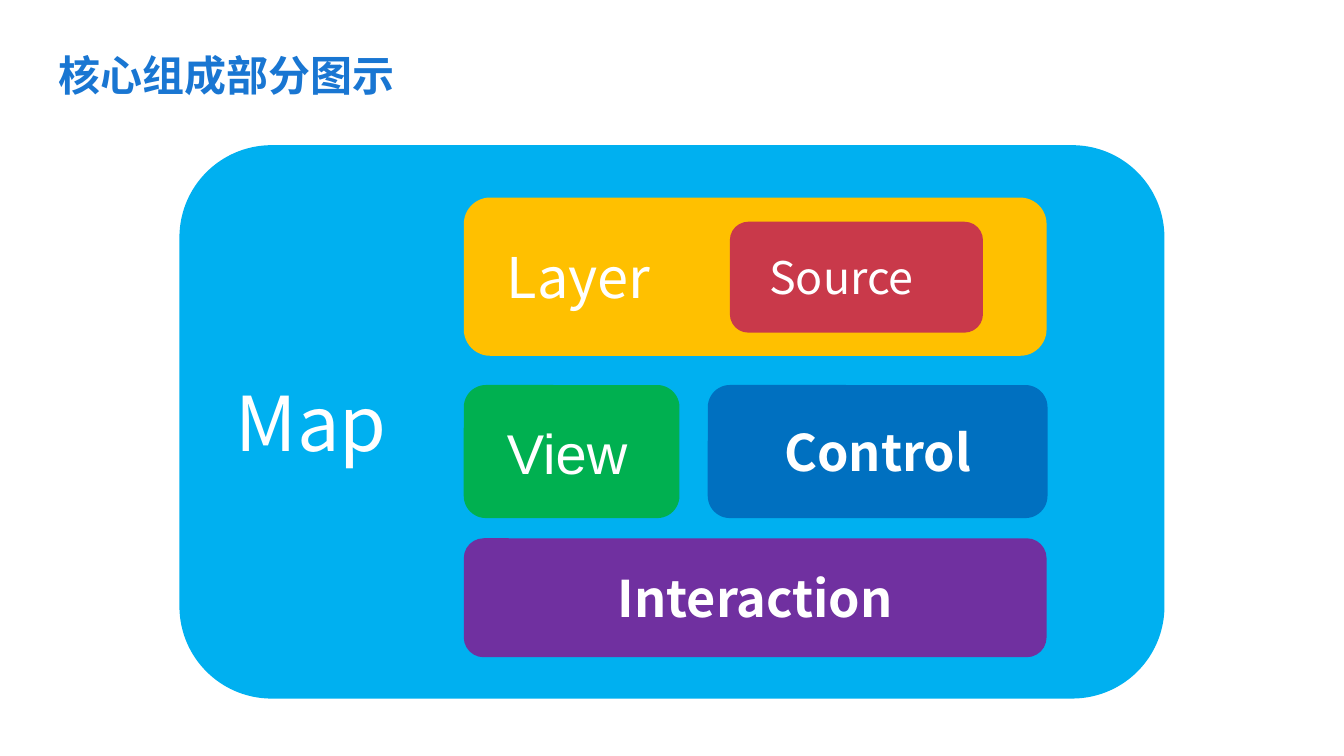
from lxml import etree
from pptx import Presentation
from pptx.dml.color import RGBColor
from pptx.enum.shapes import MSO_SHAPE
from pptx.enum.text import MSO_ANCHOR, PP_ALIGN
from pptx.oxml.ns import qn
from pptx.util import Inches, Pt

SLIDE_W, SLIDE_H = Inches(13.33), Inches(7.5)
SANS = "Noto Sans CJK SC"

WHITE = RGBColor(0xFF, 0xFF, 0xFF)
TITLE_BLUE = RGBColor(0x19, 0x76, 0xD2)
SKY = RGBColor(0x00, 0xB0, 0xF0)
AMBER = RGBColor(0xFF, 0xC0, 0x00)
GREEN = RGBColor(0x00, 0xB0, 0x50)
RED = RGBColor(0xC9, 0x39, 0x4A)
BLUE = RGBColor(0x00, 0x70, 0xC0)
PURPLE = RGBColor(0x70, 0x30, 0xA0)

# Shared edges of the inner blocks, in percent of the slide
LEFT, WIDTH = 34.51, 43.36
LABEL_LEFT = 36.98
MID_TOP, MID_H = 50.93, 17.6


def area(x, y, w, h):
    """Turn percentages of the slide into lengths."""
    return (round(SLIDE_W * x / 100), round(SLIDE_H * y / 100),
            round(SLIDE_W * w / 100), round(SLIDE_H * h / 100))


def write(tf, text, size, color=WHITE, bold=False, font=SANS, align=PP_ALIGN.LEFT):
    p = tf.paragraphs[0]
    p.alignment = align
    r = p.add_run()
    r.text = text
    formats = {"name": font, "size": Pt(size), "bold": bold}
    for name, value in formats.items():
        setattr(r.font, name, value)
    r.font.color.rgb = color
    # East Asian typeface
    etree.SubElement(r.font._element, qn("a:ea")).set("typeface", font)


def add_title(s, text, *place):
    title = s.shapes.title
    title.left, title.top, title.width, title.height = area(*place)
    tf = title.text_frame
    for side in ("left", "top", "right", "bottom"):
        setattr(tf, f"margin_{side}", Inches(0.13))
    tf.vertical_anchor = MSO_ANCHOR.MIDDLE
    write(tf, text, 30, TITLE_BLUE, bold=True)


def add_block(s, color, *place, text=None):
    sp = s.shapes.add_shape(MSO_SHAPE.ROUNDED_RECTANGLE, *area(*place))
    sp.shadow.inherit = False
    sp.fill.solid()
    sp.fill.fore_color.rgb = color
    sp.line.fill.background()
    if text:
        sp.text_frame.vertical_anchor = MSO_ANCHOR.MIDDLE
        write(sp.text_frame, text, 36, bold=True, align=PP_ALIGN.CENTER)


def add_label(s, text, size, *place, font=SANS):
    tf = s.shapes.add_textbox(*area(*place)).text_frame
    tf.word_wrap = True
    write(tf, text, size, font=font)


def main():
    prs = Presentation()
    prs.slide_width, prs.slide_height = SLIDE_W, SLIDE_H
    s = prs.slides.add_slide(prs.slide_layouts[5])
    add_title(s, "核心组成部分图示", 3.38, 4.27, 93.17, 11.2)

    # Map container
    add_block(s, SKY, 13.35, 19.2, 73.29, 73.2)
    add_label(s, "Map", 54, 16.8, 49.07, 15.08, 13.47)

    # Layer with its source
    add_block(s, AMBER, LEFT, 26.13, WIDTH, 20.93)
    add_label(s, "Layer", 40, LABEL_LEFT, 31.47, 12.45, 10.27)
    add_block(s, RED, 54.31, 29.33, 18.83, 14.67)
    add_label(s, "Source", 32, 56.49, 32.4, 14.48, 8.53)

    # View and control
    add_block(s, GREEN, LEFT, MID_TOP, 16.05, MID_H)
    add_label(s, "View", 40, LABEL_LEFT, 54.67, 10.95, 10.27, font="Arial")
    add_block(s, BLUE, 52.66, MID_TOP, 25.28, MID_H, text="Control")

    # Interaction
    add_block(s, PURPLE, LEFT, 71.2, WIDTH, 15.73, text="Interaction")

    prs.save("out.pptx")


if __name__ == "__main__":
    main()
